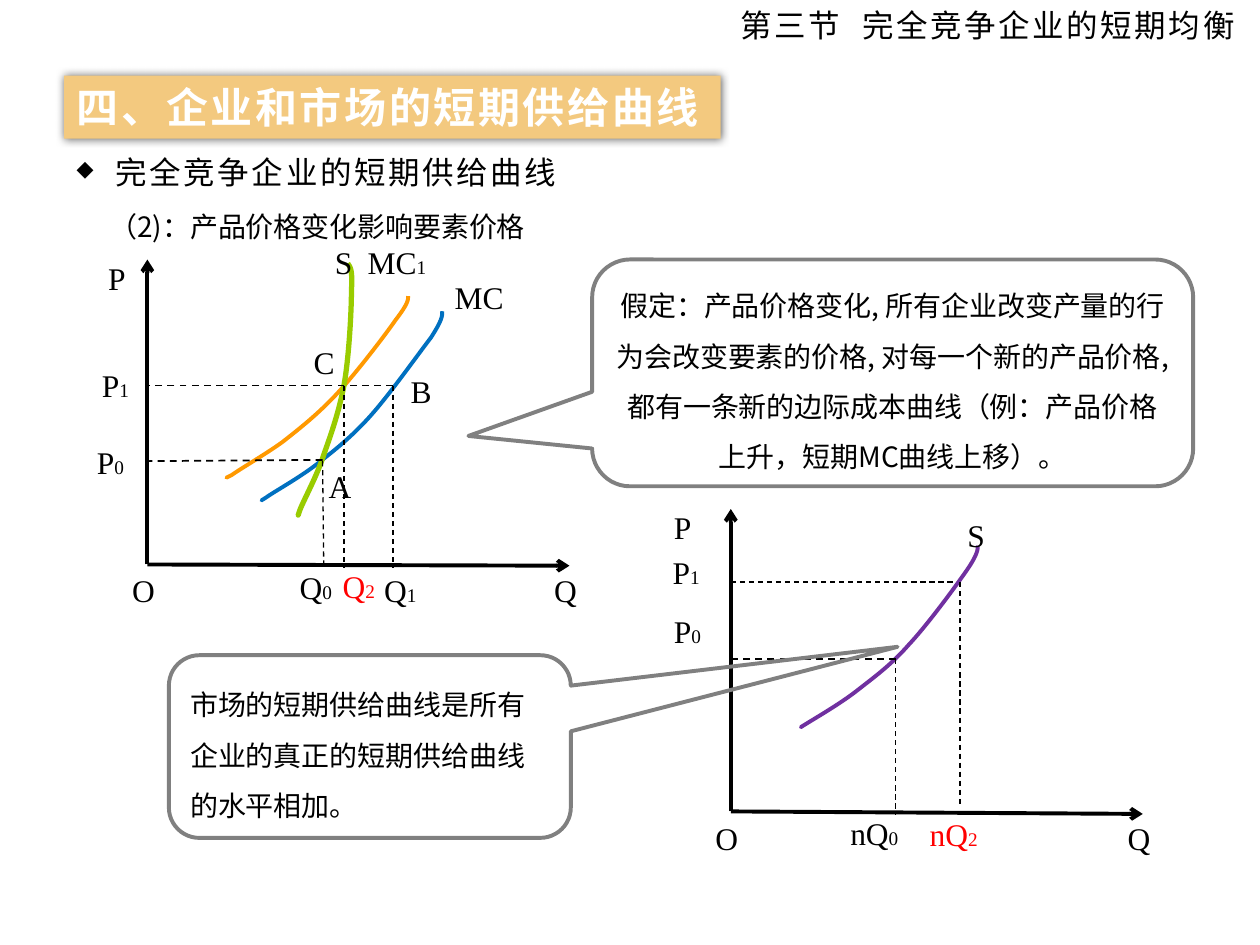
from lxml import etree
from pptx import Presentation
from pptx.dml.color import RGBColor
from pptx.enum.dml import MSO_LINE
from pptx.enum.shapes import MSO_CONNECTOR, MSO_SHAPE
from pptx.enum.text import MSO_ANCHOR, MSO_AUTO_SIZE, PP_ALIGN
from pptx.oxml.ns import qn
from pptx.util import Inches, Pt

STRAIGHT = MSO_CONNECTOR.STRAIGHT
CALLOUT = MSO_SHAPE.ROUNDED_RECTANGULAR_CALLOUT
DASH = MSO_LINE.DASH
TOP, MIDDLE = MSO_ANCHOR.TOP, MSO_ANCHOR.MIDDLE
GROW, FIXED = MSO_AUTO_SIZE.SHAPE_TO_FIT_TEXT, MSO_AUTO_SIZE.NONE
LEFT, CENTER = PP_ALIGN.LEFT, PP_ALIGN.CENTER
SANS, SERIF = "Noto Sans CJK SC", "Times New Roman"
BLACK, RED, GRAY = "000000", "FF0000", "808080"
rgb = RGBColor.from_string


def add(parent, tag, **attrs):
    return etree.SubElement(parent, qn(tag), **attrs)


def write(shape, text, sub="", font=SANS, size=18, color=BLACK, bold=False,
          gap=0, space=None, align=LEFT, anchor=TOP, wrap=True, fit=GROW):
    frame = shape.text_frame
    frame.word_wrap, frame.auto_size = wrap, fit
    frame.vertical_anchor = anchor
    para = frame.paragraphs[0]
    para.alignment = align
    if space:
        para.line_spacing = space
    for part, points in ((text, size), (sub, 11)):
        if not part:
            continue
        run = para.add_run()
        run.text = part
        run.font.name, run.font.size, run.font.bold = font, Pt(points), bold
        run.font.color.rgb = rgb(color)
        props = run._r.get_or_add_rPr()
        add(props, "a:ea", typeface=font)
        if gap:
            props.set("spc", str(gap))
    return para


deck = Presentation()
deck.slide_width, deck.slide_height = Inches(10), Inches(7.5)
slide = deck.slides.add_slide(deck.slide_layouts[5])
shapes = slide.shapes

# Title bar with a soft shadow
title = shapes.title
title.left, title.top = Inches(0.51), Inches(0.6)
title.width, title.height = Inches(5.21), Inches(0.5)
title.fill.solid()
title.fill.fore_color.rgb = rgb("F3C97F")
effect = add(title._element.spPr, "a:effectLst")
shadow = add(effect, "a:outerShdw", blurRad=str(Pt(5)), dist="0", dir="0",
             algn="ctr", rotWithShape="0")
add(add(shadow, "a:srgbClr", val=BLACK), "a:alpha", val="60000")
write(title, "四、企业和市场的短期供给曲线", size=24, color="FFFFFF", bold=True,
      gap=150, wrap=False, fit=FIXED)

# Section name, bullet and sub-point
box = shapes.add_textbox(Inches(5.78), 0, Inches(4.22), Inches(0.4))
write(box, "第三节  完全竞争企业的短期均衡", gap=150, wrap=False)

box = shapes.add_textbox(Inches(0.51), Inches(1.22), Inches(4.07), Inches(0.34))
para = write(box, "完全竞争企业的短期供给曲线", gap=150, space=0.8, wrap=False)
props = para._p.get_or_add_pPr()
props.set("marL", str(Inches(0.31)))
props.set("indent", str(-Inches(0.31)))
add(props, "a:buSzPct", val="70000")
add(props, "a:buChar", char="◆")

box = shapes.add_textbox(Inches(0.77), Inches(1.48), Inches(4.3), Inches(0.5))
write(box, "（2)：产品价格变化影响要素价格", size=16, space=1.5)

# Curves: start point, then cubic segments (two handles and an end)
curves = [
    ("FF9900", 2.25, (1.8, 3.79), [
        (1.78, 3.8, 1.84, 3.77, 1.84, 3.77), (1.91, 3.72, 2.1, 3.61, 2.24, 3.51),
        (2.38, 3.4, 2.52, 3.29, 2.67, 3.13), (2.82, 2.97, 3.05, 2.67, 3.14, 2.54),
        (3.24, 2.41, 3.24, 2.38, 3.24, 2.35)]),
    ("0070C0", 2.25, (2.08, 3.97), [
        (2.06, 3.98, 2.11, 3.95, 2.11, 3.95), (2.18, 3.9, 2.38, 3.79, 2.52, 3.68),
        (2.66, 3.57, 2.8, 3.46, 2.95, 3.29), (3.1, 3.12, 3.32, 2.81, 3.42, 2.68),
        (3.51, 2.54, 3.51, 2.51, 3.51, 2.47)]),
    ("99CC00", 3, (2.37, 4.08), [
        (2.36, 4.11, 2.38, 4.05, 2.38, 4.05), (2.41, 3.97, 2.52, 3.77, 2.57, 3.61),
        (2.63, 3.44, 2.69, 3.27, 2.73, 3.06), (2.77, 2.84, 2.79, 2.47, 2.79, 2.3),
        (2.8, 2.14, 2.78, 2.12, 2.76, 2.09)]),
    ("7030A0", 2.25, (6.36, 5.77), [
        (6.34, 5.78, 6.39, 5.75, 6.39, 5.75), (6.47, 5.7, 6.66, 5.59, 6.79, 5.49),
        (6.93, 5.38, 7.07, 5.28, 7.21, 5.12), (7.36, 4.96, 7.58, 4.66, 7.67, 4.53),
        (7.76, 4.4, 7.76, 4.36, 7.76, 4.33)]),
]
for color, width, start, parts in curves:
    pen = shapes.build_freeform(Inches(start[0]), Inches(start[1]))
    dots = [(Inches(part[i]), Inches(part[i + 1]))
            for part in parts for i in (0, 2, 4)]
    pen.add_line_segments(dots, close=False)
    curve = pen.convert_to_shape()
    # Turn every three line points into one cubic segment
    track = curve._element.find(".//" + qn("a:path"))
    steps = track.findall(qn("a:lnTo"))
    for i in range(0, len(steps), 3):
        cubic = add(track, "a:cubicBezTo")
        for step in steps[i:i + 3]:
            cubic.append(step[0])
            track.remove(step)
    curve.shadow.inherit = False
    curve.fill.background()
    curve.line.color.rgb = rgb(color)
    curve.line.width = Pt(width)

# Axes (2.25 pt, with arrows) and dashed guides
lines = [
    (1.17, 4.48, 1.17, 2.06, 2.25), (1.17, 4.48, 4.52, 4.49, 2.25),
    (5.8, 6.44, 5.8, 4.04, 2.25), (5.8, 6.44, 9.07, 6.46, 2.25),
    (3.12, 3.06, 1.16, 3.06, 1), (2.56, 3.65, 1.16, 3.66, 1),
    (2.56, 3.66, 2.57, 4.51, 0.75), (2.73, 3.06, 2.73, 4.51, 0.75),
    (3.12, 3.06, 3.12, 4.51, 0.75),
    (7.11, 5.23, 5.81, 5.23, 1), (7.11, 5.23, 7.11, 6.47, 0.75),
    (5.8, 4.62, 7.58, 4.62, 0.75), (7.62, 4.62, 7.62, 6.41, 0.75),
]
for *ends, width in lines:
    link = shapes.add_connector(STRAIGHT, *(Inches(v) for v in ends))
    link.line.color.rgb = rgb(BLACK)
    link.line.width = Pt(width)
    if width > 2:
        add(link.line._get_or_add_ln(), "a:tailEnd", type="arrow")
    else:
        link.line.dash_style = DASH
    add(link._element.spPr, "a:effectLst")

# Labels: text, small digit, left, top, width, height, colour
labels = [
    ("P", "", 0.76, 2.01, 0.34, 0.29, BLACK),
    ("O", "", 0.95, 4.48, 0.39, 0.29, BLACK),
    ("Q", "", 4.3, 4.48, 0.39, 0.29, BLACK),
    ("S", "", 2.56, 1.88, 0.22, 0.34, BLACK),
    ("MC", "1", 2.82, 1.88, 1.06, 0.5, BLACK),
    ("MC", "", 3.51, 2.16, 0.84, 0.5, BLACK),
    ("A", "", 2.51, 3.66, 0.28, 0.34, BLACK),
    ("B", "", 3.16, 2.9, 0.61, 0.34, BLACK),
    ("C", "", 2.39, 2.67, 0.28, 0.34, BLACK),
    ("P", "0", 0.67, 3.47, 0.62, 0.36, BLACK),
    ("P", "1", 0.71, 2.86, 0.54, 0.36, BLACK),
    ("Q", "0", 2.28, 4.46, 0.78, 0.5, BLACK),
    ("Q", "2", 2.62, 4.45, 0.69, 0.4, RED),
    ("Q", "1", 2.95, 4.48, 0.82, 0.5, BLACK),
    ("P", "", 5.25, 3.98, 0.33, 0.29, BLACK),
    ("O", "", 5.58, 6.45, 0.38, 0.29, BLACK),
    ("Q", "", 8.85, 6.45, 0.38, 0.29, BLACK),
    ("S", "", 7.58, 4.05, 0.6, 0.34, BLACK),
    ("P", "0", 5.25, 4.81, 0.64, 0.44, BLACK),
    ("P", "1", 5.24, 4.34, 0.54, 0.36, BLACK),
    ("nQ", "0", 6.65, 6.41, 0.63, 0.4, BLACK),
    ("nQ", "2", 7.28, 6.42, 0.63, 0.4, RED),
]
for text, sub, *place, color in labels:
    box = shapes.add_textbox(*(Inches(v) for v in place))
    write(box, text, sub, font=SERIF, color=color)

# Callouts
notes = [
    ("假定：产品价格变化, 所有企业改变产量的行为会改变要素的价格, 对每一个新的产品价格, "
     "都有一条新的边际成本曲线（例：产品价格上升，短期MC曲线上移）。",
     (4.7, 2.06, 4.77, 1.8), (-0.706, 0.278, 0.167), CENTER),
    ("市场的短期供给曲线是所有企业的真正的短期供给曲线的水平相加。",
     (1.34, 5.2, 3.19, 1.45), (1.313, -0.546, 0.167), LEFT),
]
for text, place, tip, align in notes:
    note = shapes.add_shape(CALLOUT, *(Inches(v) for v in place))
    for i, value in enumerate(tip):
        note.adjustments[i] = value
    note.shadow.inherit = False
    note.fill.background()
    note.line.color.rgb = rgb(GRAY)
    note.line.width = Pt(2.25)
    write(note, text, size=16, space=1.5, align=align, anchor=MIDDLE, fit=FIXED)

deck.save("out.pptx")
